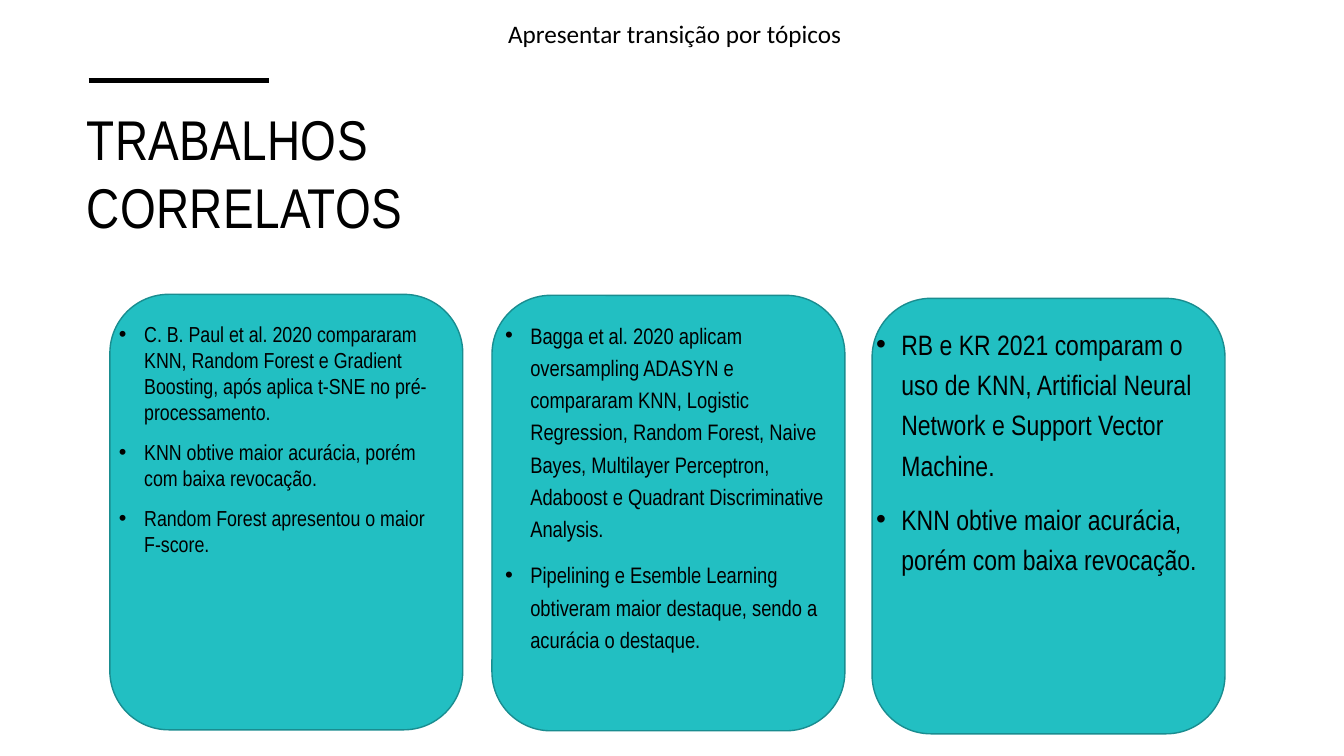
from lxml.etree import SubElement
from pptx import Presentation
from pptx.dml.color import RGBColor
from pptx.enum.shapes import MSO_CONNECTOR, MSO_SHAPE
from pptx.enum.text import MSO_ANCHOR, MSO_AUTO_SIZE, PP_ALIGN
from pptx.oxml.ns import qn
from pptx.util import Inches, Pt

COLORS = {"ink": "000000", "card": "22BFC2", "edge": "198D90"}
FRAME = {"word_wrap": True, "auto_size": MSO_AUTO_SIZE.NONE, "vertical_anchor": MSO_ANCHOR.TOP}
LIST_SPACING = {"space_before": Pt(10), "space_after": Pt(0)}
WORKS = [
    {
        "card": (1.09, 2.92), "box": (1.08, 3.13, 3.29, 3.77), "size": 15.5, "spacing": 1.0,
        "findings": [
            "C. B. Paul et al. 2020 compararam KNN, Random Forest e Gradient Boosting, "
            "após aplica t-SNE no pré-processamento.",
            "KNN obtive maior acurácia, porém com baixa revocação.",
            "Random Forest apresentou o maior F-score.",
        ],
    },
    {
        "card": (4.88, 2.93), "box": (4.91, 3.09, 3.52, 3.99), "size": 16, "spacing": 1.2,
        "findings": [
            "Bagga et al. 2020 aplicam oversampling ADASYN e compararam KNN, Logistic "
            "Regression, Random Forest, Naive Bayes, Multilayer Perceptron, Adaboost e "
            "Quadrant Discriminative Analysis.",
            "Pipelining e Esemble Learning obtiveram maior destaque, sendo a acurácia o destaque.",
        ],
    },
    {
        "card": (8.65, 2.96), "box": (8.59, 3.13, 3.58, 3.79), "size": 20, "spacing": 1.2,
        "findings": [
            "RB e KR 2021 comparam o uso de KNN, Artificial Neural Network e Support "
            "Vector Machine.",
            "KNN obtive maior acurácia, porém com baixa revocação.",
        ],
    },
]


def color(name):
    return RGBColor.from_string(COLORS[name])


def apply(target, values):
    for attribute, value in values.items():
        setattr(target, attribute, value)


class SlideBuilder:
    """Adds styled elements to the current slide."""

    def __init__(self, slide, heading_font, note_font):
        self.slide = slide
        self.heading_font = heading_font
        self.note_font = note_font

    def place(self, holder, box):
        apply(holder, dict(zip(("left", "top", "width", "height"), map(Inches, box))))
        apply(holder.text_frame, FRAME)

    def add_words(self, paragraph, text, size, font):
        run = paragraph.add_run()
        run.text = text
        apply(run.font, {"name": font, "size": Pt(size), "bold": False})
        run.font.color.rgb = color("ink")
        paragraph.alignment = PP_ALIGN.LEFT
        return run

    def title(self, text, box, size):
        heading = self.slide.shapes.title
        self.place(heading, box)
        run = self.add_words(heading.text_frame.paragraphs[0], text, size, self.heading_font)
        run.font._element.set("spc", "30")

    def rule(self, start, end, width):
        accent = self.slide.shapes.add_connector(
            MSO_CONNECTOR.STRAIGHT, *map(Inches, start + end))
        accent.line.width = Pt(width)
        accent.line.color.rgb = color("ink")
        SubElement(accent._element.spPr, qn("a:effectLst"))

    def card(self, corner):
        panel = self.slide.shapes.add_shape(
            MSO_SHAPE.ROUNDED_RECTANGLE, *map(Inches, corner + (3.5, 4.32)))
        panel.shadow.inherit = False
        panel.fill.solid()
        panel.fill.fore_color.rgb = color("card")
        panel.line.color.rgb = color("edge")
        panel.line.width = Pt(1)

    def bullets(self, index, work):
        body = self.slide.placeholders[index]
        self.place(body, work["box"])
        self.slide.shapes._spTree.append(body._element)
        for position, finding in enumerate(work["findings"]):
            frame = body.text_frame
            paragraph = frame.add_paragraph() if position else frame.paragraphs[0]
            apply(paragraph, {**LIST_SPACING, "line_spacing": work["spacing"]})
            self.add_words(paragraph, finding, work["size"], self.heading_font)
            properties = paragraph._p.get_or_add_pPr()
            properties.set("marL", str(Inches(0.25)))
            properties.set("indent", str(-Inches(0.25)))
            SubElement(properties, qn("a:buFont"), typeface="Arial")
            SubElement(properties, qn("a:buChar"), char="•")

    def note(self, text, box, size):
        reminder = self.slide.shapes.add_textbox(*map(Inches, box))
        apply(reminder.text_frame, {**FRAME, "auto_size": MSO_AUTO_SIZE.SHAPE_TO_FIT_TEXT})
        self.add_words(reminder.text_frame.paragraphs[0], text, size, self.note_font)


def main():
    deck = Presentation()
    apply(deck, {"slide_width": Inches(13.33), "slide_height": Inches(7.5)})
    comparison = deck.slide_layouts[4]
    builder = SlideBuilder(deck.slides.add_slide(comparison), "Arial Narrow", "Calibri")
    builder.title("TRABALHOS CORRELATOS", (0.76, 0.99, 4.18, 2.14), 40)
    builder.rule((0.88, 0.8), (2.67, 0.8), 3.5)
    for index, work in enumerate(WORKS, start=1):
        builder.card(work["card"])
        builder.bullets(index, work)
    unused = builder.slide.placeholders[4]._element
    unused.getparent().remove(unused)
    builder.note("Apresentar transição por tópicos", (4.94, 0.13, 6.98, 0.4), 18)
    deck.save("out.pptx")


if __name__ == "__main__":
    main()
